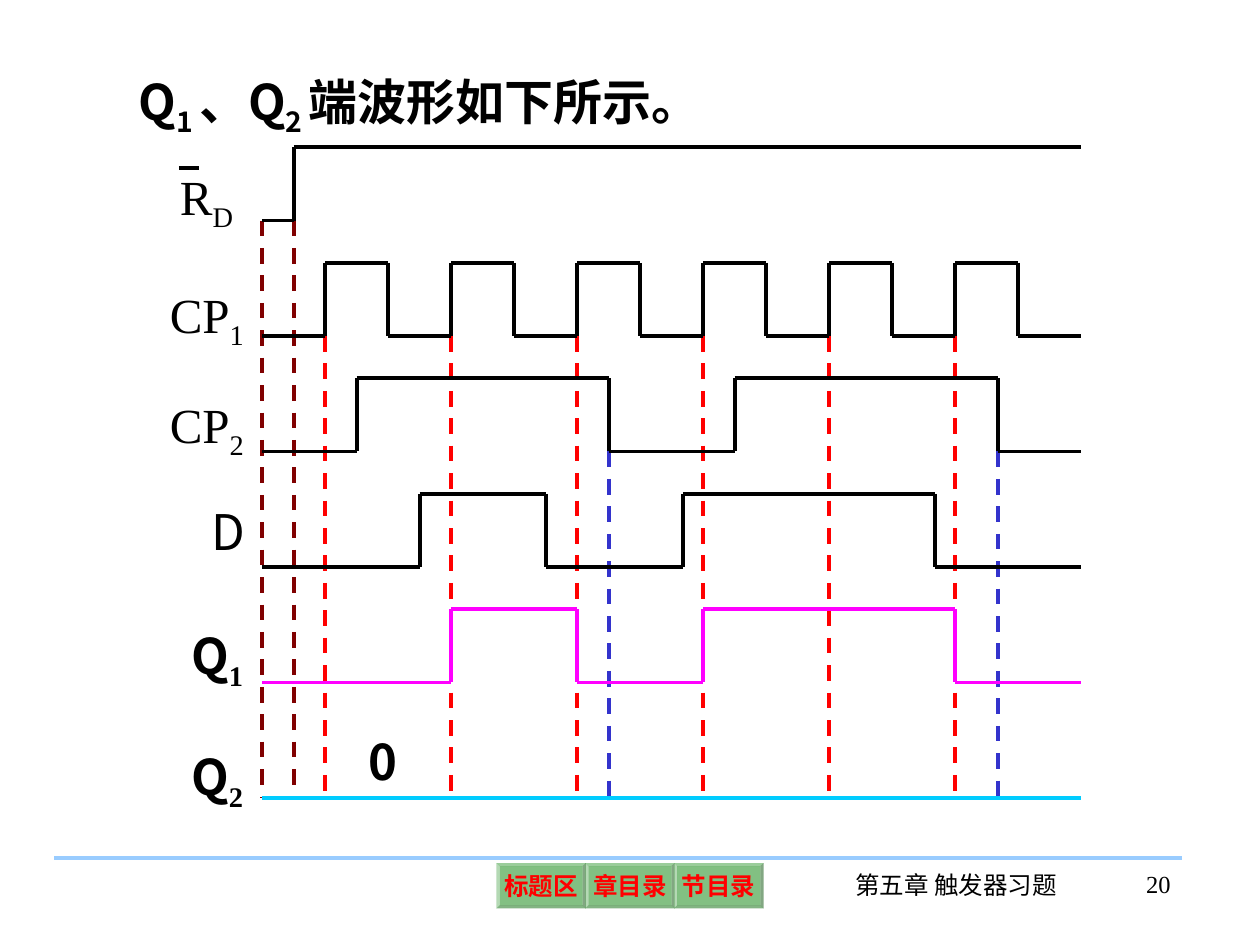
from itertools import pairwise

from lxml.etree import SubElement
from pptx import Presentation
from pptx.dml.color import RGBColor
from pptx.enum.dml import MSO_LINE
from pptx.enum.shapes import MSO_CONNECTOR, MSO_SHAPE
from pptx.enum.text import MSO_ANCHOR, PP_ALIGN
from pptx.oxml.ns import qn
from pptx.util import Inches, Pt

SANS = "Noto Sans CJK SC"
SERIF = "Times New Roman"
BLACK, RED, BLUE, MAROON = "000000", "FF0000", "3333CC", "800000"
MAGENTA, CYAN = "FF00FF", "00CCFF"

ROW_PITCH = 11 / 12
SWING = 0.58
CLOCK_EDGES = [0.5 * k for k in range(1, 13)]
# label runs, label left and width, label rise above the row, edge times, colour
WAVES = [
    ([("R", 0), ("D", -25)], SERIF, -0.75, 0.68, -0.1, [0.25], BLACK),
    ([("CP", 0), ("1", -25)], SERIF, -0.83, 1, 0.04, CLOCK_EDGES, BLACK),
    ([("CP", 0), ("2", -25)], SERIF, -0.83, 1, 0.08, [0.75, 2.75, 3.75, 5.84], BLACK),
    ([("D", 0)], SANS, -0.5, 0.5, 0.13, [1.25, 2.25, 3.34, 5.34], BLACK),
    ([("Q", 0), ("1", -25)], SANS, -0.66, 0.67, 0.08, [1.5, 2.5, 3.5, 5.5], MAGENTA),
    ([("Q", 0), ("2", -25)], SANS, -0.66, 0.67, 0.04, [], CYAN),
]
# times of the guides, row whose low level they start from, colour
GUIDES = [
    (CLOCK_EDGES[::2], 1, RED),
    ([2.75, 5.84], 2, BLUE),
    ([0, 0.25], 0, MAROON),
]


def rgb(color):
    return RGBColor.from_string(color)


def add_line(slide, x1, y1, x2, y2, color, dashed=False):
    line = slide.shapes.add_connector(
        MSO_CONNECTOR.STRAIGHT, Inches(x1), Inches(y1), Inches(x2), Inches(y2))
    line.line.color.rgb = rgb(color)
    line.line.width = Pt(2.25)
    if dashed:
        line.line.dash_style = MSO_LINE.DASH
    SubElement(line._element.spPr, qn("a:effectLst"))


def style_paragraph(p, size, font, color=BLACK, bold=False, align=PP_ALIGN.LEFT):
    """Set the font for both Latin and Chinese text."""
    p.alignment = align
    p.font.size = Pt(size)
    p.font.bold = bold
    p.font.color.rgb = rgb(color)
    p.font.name = font
    defaults = p._p.pPr.find(qn("a:defRPr"))
    SubElement(defaults, qn("a:ea")).set("typeface", SANS)


def add_text(slide, x, y, w, h, runs, size, font, bold=False,
             align=PP_ALIGN.LEFT, spacing=None):
    """Add a text box; runs pair each text with its baseline shift in percent."""
    box = slide.shapes.add_textbox(Inches(x), Inches(y), Inches(w), Inches(h))
    tf = box.text_frame
    tf.word_wrap = True
    p = tf.paragraphs[0]
    style_paragraph(p, size, font, bold=bold, align=align)
    if spacing:
        p.line_spacing = spacing
    for text, shift in runs:
        r = p.add_run()
        r.text = text
        if shift:
            r.font._element.set("baseline", str(shift * 1000))
    return p


def add_wave(slide, x, top, width, edges, color):
    """Draw a signal that starts low and toggles at each edge time."""
    low = top + SWING
    points, level = [(x, low)], low
    for edge in edges:
        points.append((x + edge, level))
        level = top if level == low else low
        points.append((x + edge, level))
    points.append((x + width, level))
    for start, end in pairwise(points):
        add_line(slide, *start, *end, color)


def add_timing_diagram(slide, x, y, width):
    bottom = y + 5 * ROW_PITCH + SWING
    for times, row, color in GUIDES:
        for time in times:
            start = y + row * ROW_PITCH + SWING
            add_line(slide, x + time, start, x + time, bottom, color, dashed=True)
    for row, (label, font, dx, w, rise, edges, color) in enumerate(WAVES):
        top = y + row * ROW_PITCH
        add_wave(slide, x, top, width, edges, color)
        is_output = color != BLACK
        p = add_text(slide, x + dx, top - rise, w, 0.79, label, 28, font,
                     bold=is_output, spacing=1.3 if row else None)
        if is_output:
            p.runs[1].font.name = SERIF
    add_line(slide, x - 0.66, y + 0.16, x - 0.5, y + 0.16, BLACK)
    add_text(slide, x + 0.75, bottom - 0.58, 0.67, 0.57, [("0", 0)], 28, SANS, bold=True)


def add_title(slide, x, y, w, h):
    runs = [("Q", 0), ("1 ", -25), ("、Q", 0), ("2 ", -25), ("端波形如下所示。", 0)]
    add_text(slide, x, y, w, h, runs, 28, SANS, bold=True)


def add_button(slide, x, y, w, h, label):
    sp = slide.shapes.add_shape(
        MSO_SHAPE.BEVEL, Inches(x), Inches(y), Inches(w), Inches(h))
    sp.adjustments[0] = 0.07
    sp.shadow.inherit = False
    sp.line.fill.background()
    sp.fill.solid()
    sp.fill.fore_color.rgb = rgb("008000")
    fill = sp._element.spPr.find(qn("a:solidFill"))
    SubElement(fill[0], qn("a:alpha")).set("val", "49000")
    tf = sp.text_frame
    tf.word_wrap = False
    tf.vertical_anchor = MSO_ANCHOR.MIDDLE
    tf.margin_left = tf.margin_right = tf.margin_top = tf.margin_bottom = Inches(0.04)
    p = tf.paragraphs[0]
    style_paragraph(p, 14, SERIF, RED, bold=True, align=PP_ALIGN.CENTER)
    p.add_run().text = label


def add_footer(slide, x, y, width):
    add_line(slide, x, y, x + width, y, "99CCFF")
    for i, label in enumerate(["标题区", "章目录", "节目录"]):
        add_button(slide, x + 3.51 + i * 0.705, y + 0.04, 0.71, 0.36, label)
    add_text(slide, x + 6.23, y + 0.05, 1.86, 0.5, [("第五章 触发器习题", 0)], 14,
             SERIF, align=PP_ALIGN.CENTER)
    add_text(slide, x + 8.1, y + 0.04, 0.86, 0.5, [("20", 0)], 14,
             SERIF, align=PP_ALIGN.RIGHT)


def main():
    prs = Presentation()
    prs.slide_width, prs.slide_height = Inches(10), Inches(7.5)
    slide = prs.slides.add_slide(prs.slide_layouts[6])
    add_footer(slide, 0.43, 6.81, 8.95)
    add_timing_diagram(slide, 2.08, 1.17, 6.5)
    add_title(slide, 1, 0.52, 7.33, 0.63)
    prs.save("out.pptx")


if __name__ == "__main__":
    main()
